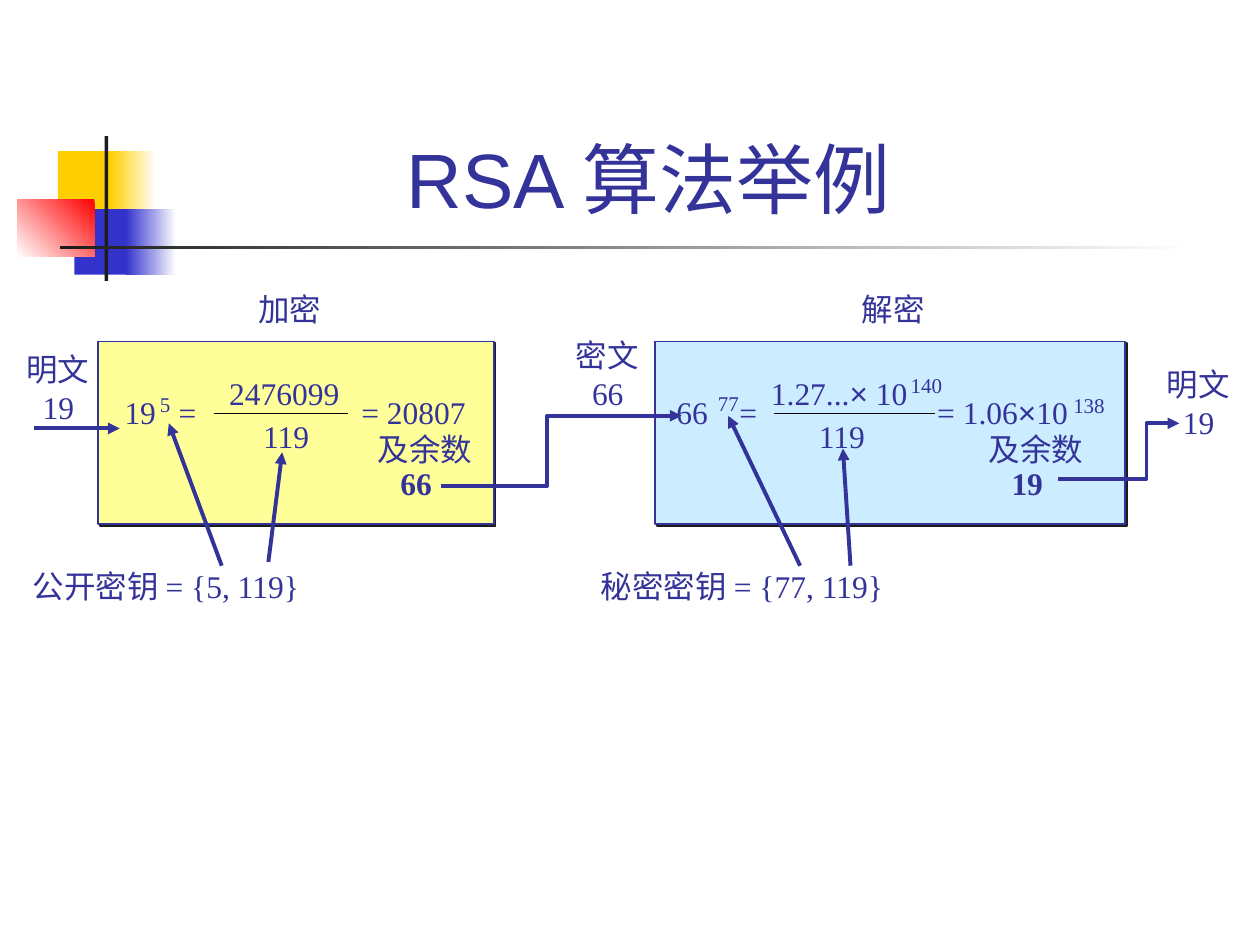
from lxml import etree
from pptx import Presentation
from pptx import util as u
from pptx.dml import color
from pptx.enum import shapes, text
from pptx.oxml import ns

INK, BLACK, WHITE = "333399", "1C1C1C", "FFFFFF"
SERIF, SANS = "Times New Roman", "Arial"
ARROW_WIDTH = 2.25


def rgb(value):
    return color.RGBColor.from_string(value)


def set_all(target, values):
    for name, value in values.items():
        setattr(target, name, value)


def add_node(parent, tag, **attributes):
    return etree.SubElement(parent, ns.qn(tag), attributes)


class SlideBuilder:
    """Holds the slide and the style its elements share."""

    margins = {"margin_left": u.Inches(0.1), "margin_right": u.Inches(0.1),
               "margin_top": u.Inches(0.05), "margin_bottom": u.Inches(0.05)}

    def __init__(self, slide):
        self.slide = slide
        self.shapes = slide.shapes

    def place(self, shape, left, top, width, height):
        set_all(shape, {"left": u.Inches(left), "top": u.Inches(top),
                        "width": u.Inches(width), "height": u.Inches(height)})

    def style_run(self, run, size, font=SERIF, bold=False):
        set_all(run.font, {"size": u.Pt(size), "name": font, "bold": bold})
        run.font.color.rgb = rgb(INK)

    def title(self, words, *box):
        title = self.shapes.title
        self.place(title, *box)
        frame = title.text_frame
        set_all(frame, {**self.margins, "word_wrap": True,
                        "auto_size": text.MSO_AUTO_SIZE.NONE,
                        "vertical_anchor": text.MSO_ANCHOR.BOTTOM})
        paragraph = frame.paragraphs[0]
        paragraph.alignment = text.PP_ALIGN.CENTER
        run = paragraph.add_run()
        run.text = words
        self.style_run(run, 44, SANS)

    def rectangle(self, *box):
        shape = self.shapes.add_shape(shapes.MSO_SHAPE.RECTANGLE,
                                      *map(u.Inches, box))
        shape.shadow.inherit = False
        shape.line.fill.background()
        return shape

    def solid(self, fill, *box):
        shape = self.rectangle(*box)
        shape.fill.solid()
        shape.fill.fore_color.rgb = rgb(fill)
        return shape

    def gradient(self, start, end, angle, *box):
        """Blend two colours; the angle runs clockwise."""
        fill = self.rectangle(*box).fill
        fill.gradient()
        fill.gradient_angle = 360 - angle
        for stop, value in zip(fill.gradient_stops, (start, end)):
            stop.color.rgb = rgb(value)

    def panel(self, fill, *box):
        """Outlined box with a hard shadow."""
        shape = self.solid(fill, *box)
        shape.line.color.rgb = rgb(INK)
        shape.line.width = u.Pt(1)
        effects = shape._element.spPr.find(ns.qn("a:effectLst"))
        shadow = add_node(effects, "a:outerShdw", blurRad="0",
                          dist=str(u.Pt(1.4)), dir="2700000", algn="ctr",
                          rotWithShape="0")
        add_node(shadow, "a:srgbClr", val=BLACK)

    def text(self, lines, left, top, width, height=0.4, size=18,
             indent=0, spacing=1.0, bold_last=False):
        """Put one paragraph per line, indenting all lines but the first."""
        frame = self.shapes.add_textbox(
            *map(u.Inches, (left, top, width, height))).text_frame
        set_all(frame, {**self.margins, "word_wrap": True})
        for index, line in enumerate(lines):
            paragraph = frame.add_paragraph() if index else frame.paragraphs[0]
            paragraph.line_spacing = spacing
            if index:
                paragraph._p.get_or_add_pPr().set("marL", str(u.Inches(indent)))
            before, times, after = line.partition("×")
            for part in filter(None, (before, times, after)):
                run = paragraph.add_run()
                run.text = part
                self.style_run(run, size, SANS if part == "×" else SERIF,
                               bold_last and index > 0)

    def finish_line(self, shape, stroke, width, arrow):
        shape.line.color.rgb = rgb(stroke)
        shape.line.width = u.Pt(width)
        if arrow:
            add_node(shape.line._get_or_add_ln(), "a:tailEnd", type="triangle")

    def line(self, start, end, stroke=INK, width=ARROW_WIDTH, arrow=True):
        connector = self.shapes.add_connector(
            shapes.MSO_CONNECTOR.STRAIGHT, *map(u.Inches, start + end))
        self.finish_line(connector, stroke, width, arrow)
        add_node(connector._element.spPr, "a:effectLst")

    def stepped_arrow(self, start, bend, end):
        """Run across to the bend, up or down, then across to the end."""
        points = [start, (bend, start[1]), (bend, end[1]), end]
        points = [(u.Inches(x), u.Inches(y)) for x, y in points]
        builder = self.shapes.build_freeform(*points[0])
        builder.add_line_segments(points[1:], close=False)
        shape = builder.convert_to_shape()
        shape.fill.background()
        shape.shadow.inherit = False
        self.finish_line(shape, INK, ARROW_WIDTH, True)


def add_decoration(builder):
    yellow, blue, red = "FFCF01", "3333CC", "FF0000"
    builder.solid(yellow, 0.46, 1.2, 0.48, 0.52)
    builder.gradient(WHITE, yellow, 180, 0.88, 1.2, 0.36, 0.52)
    builder.solid(blue, 0.59, 1.66, 0.46, 0.52)
    builder.gradient(WHITE, blue, 180, 1, 1.66, 0.4, 0.52)
    builder.gradient(red, WHITE, 135, 0.14, 1.58, 0.61, 0.46)
    builder.solid(BLACK, 0.83, 1.08, 0.03, 1.15)
    builder.gradient(WHITE, BLACK, 180, 0.48, 1.95, 9, 0.03)


def add_stage(builder, fill, panel, heading, key, equation, exponents,
              numerator, denominator, remainder, fraction, arrows):
    """Draw one half of the example: panel, formula, key and key arrows."""
    left, width = panel
    builder.panel(fill, left, 2.71, width, 1.45)
    builder.text([heading[0]], heading[1], 2.25, 0.7)
    builder.text([key[0]], key[1], 4.45, 2.55)
    for words, x, part_width in equation:
        builder.text([words], x, 3.07, part_width)
    for words, x, y in exponents:
        builder.text([words], x, y, 0.47, 0.3, size=12)
    builder.text([numerator[0]], numerator[1], 2.92, 1.35)
    builder.text([denominator[0]], denominator[1], 3.26, 0.6)
    builder.text(["及余数", remainder[0]], remainder[1], 3.4, 1.07, 0.64,
                 indent=0.18, spacing=0.9, bold_last=True)
    builder.line((fraction[0], 3.28), (fraction[1], 3.28), "000000", 0.75, False)
    for start, end in arrows:
        builder.line(start, end)


def main():
    presentation = Presentation()
    set_all(presentation, {"slide_width": u.Inches(10),
                           "slide_height": u.Inches(7.5)})
    builder = SlideBuilder(
        presentation.slides.add_slide(presentation.slide_layouts[5]))
    add_decoration(builder)
    builder.title("RSA 算法举例 ", 1.26, 0.23, 7.91, 1.6)

    add_stage(builder, "FFFF99", (0.78, 3.14), ("加密", 1.95),
              ("公开密钥 = {5, 119}", 0.16),
              [("19", 0.89, 0.5), ("=", 1.32, 0.4), ("= 20807", 2.77, 1.1)],
              [("5", 1.17, 3.06)],
              ("2476099", 1.72), ("119", 1.99), ("66", 2.9), (1.7, 2.76),
              [((1.76, 4.49), (1.34, 3.36)), ((2.13, 4.46), (2.24, 3.59))])
    add_stage(builder, "CCECFF", (5.2, 3.73), ("解密", 6.74),
              ("秘密密钥 = {77, 119}", 4.67),
              [("66", 5.27, 0.5), ("=", 5.77, 0.4), ("= 1.06×10", 7.34, 1.3)],
              [("77", 5.6, 3.05), ("140", 7.13, 2.91), ("138", 8.42, 3.07)],
              ("1.27...× 10", 6.02), ("119", 6.4), ("19", 7.75), (6.14, 7.42),
              [((6.35, 4.49), (5.78, 3.3)), ((6.75, 4.49), (6.69, 3.56))])

    for name, value, x, y in [("明文", "19", 0.11, 2.73),
                              ("密文", "66", 4.47, 2.62),
                              ("明文", "19", 9.16, 2.85)]:
        builder.text([name, value], x, y, 0.72, 0.7, indent=0.13)
    builder.line((0.27, 3.4), (0.95, 3.4))
    builder.stepped_arrow((3.5, 3.86), 4.34, (5.41, 3.3))
    builder.stepped_arrow((8.4, 3.8), 9.1, (9.36, 3.36))
    presentation.save("out.pptx")


if __name__ == "__main__":
    main()
